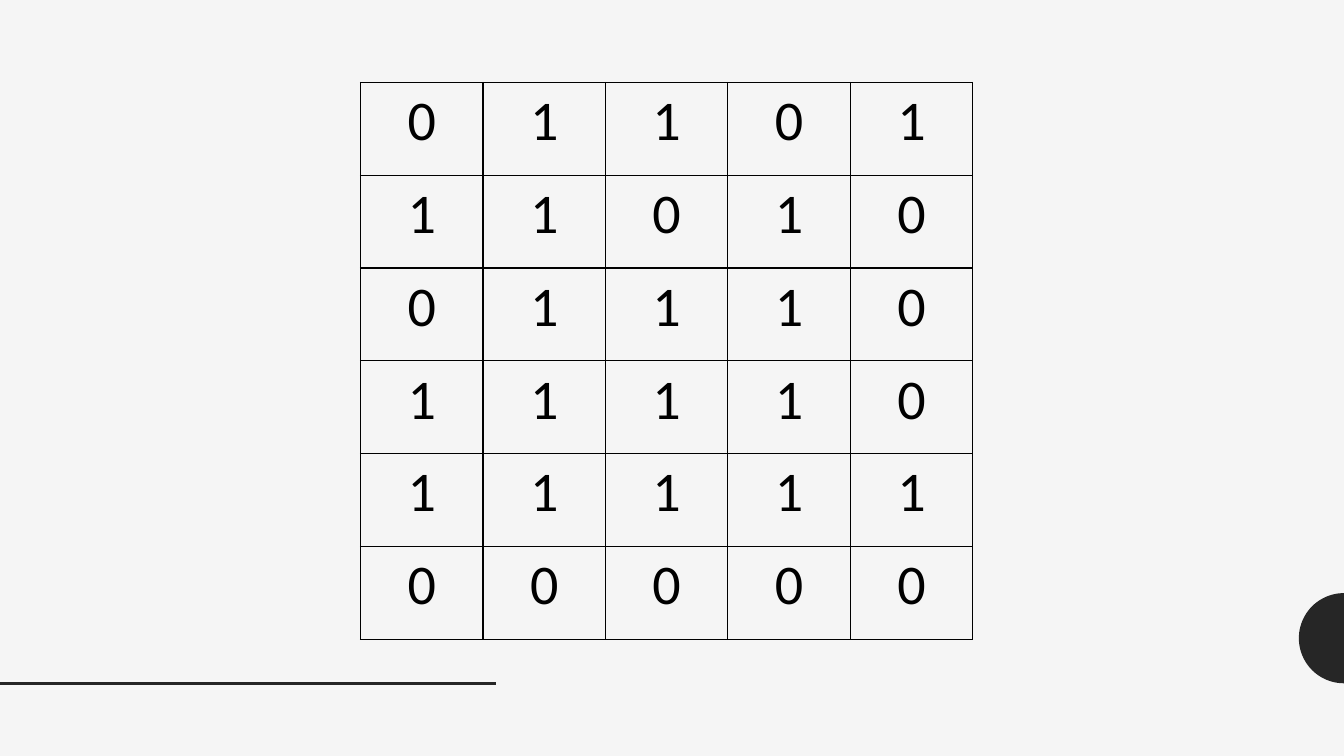
"""Build a slide with a binary matrix, a footer rule and an edge half disc."""
from math import cos, pi, sin

from lxml import etree
from pptx import Presentation
from pptx.dml.color import RGBColor
from pptx.enum.shapes import MSO_CONNECTOR
from pptx.enum.text import PP_ALIGN
from pptx.oxml.ns import qn
from pptx.util import Pt

STRAIGHT = MSO_CONNECTOR.STRAIGHT
CENTER = PP_ALIGN.CENTER

MATRIX = ["01101", "11010", "01110", "11110", "11111", "00000"]
COLORS = {"background": "F5F5F5", "accent": "262626", "ink": "000000"}
DIGIT_FORMAT = {"name": "Calibri", "size": Pt(40)}
SLIDE_W, SLIDE_H = 960, 540
MATRIX_LEFT, MATRIX_TOP = 257.5, 58.9
COLUMN_W, ROW_H = 87.5, 66.3
GRID_WIDTH = 1
RULE_Y, RULE_END, RULE_WIDTH = 488.2, 354.3, 2
DISC_Y, DISC_RADIUS, DISC_STEPS = 455.9, 32.2, 48


def color(key):
    return RGBColor.from_string(COLORS[key])


def add_borders(cell):
    properties = cell._tc.get_or_add_tcPr()
    for position, side in enumerate(("a:lnL", "a:lnR", "a:lnT", "a:lnB")):
        border = etree.Element(qn(side), w=str(Pt(GRID_WIDTH)))
        fill = etree.SubElement(border, qn("a:solidFill"))
        etree.SubElement(fill, qn("a:srgbClr"), val=COLORS["ink"])
        properties.insert(position, border)


presentation = Presentation()
presentation.slide_width, presentation.slide_height = Pt(SLIDE_W), Pt(SLIDE_H)
slide = presentation.slides.add_slide(presentation.slide_layouts[6])
slide.background.fill.solid()
slide.background.fill.fore_color.rgb = color("background")

angles = [pi / 2 + pi * step / DISC_STEPS for step in range(DISC_STEPS + 1)]
arc = [(Pt(SLIDE_W + DISC_RADIUS * cos(angle)), Pt(DISC_Y + DISC_RADIUS * sin(angle)))
       for angle in angles]
outline = slide.shapes.build_freeform(*arc[0])
outline.add_line_segments(arc[1:], close=True)
half_disc = outline.convert_to_shape()
half_disc.shadow.inherit = False
half_disc.fill.solid()
half_disc.fill.fore_color.rgb = color("accent")
half_disc.line.fill.background()

rule = slide.shapes.add_connector(STRAIGHT, 0, Pt(RULE_Y), Pt(RULE_END), Pt(RULE_Y))
rule.line.color.rgb = color("accent")
rule.line.width = Pt(RULE_WIDTH)
etree.SubElement(rule._element.spPr, qn("a:effectLst"))

row_count, column_count = len(MATRIX), len(MATRIX[0])
matrix = slide.shapes.add_table(
    row_count, column_count, Pt(MATRIX_LEFT), Pt(MATRIX_TOP),
    Pt(COLUMN_W * column_count), Pt(ROW_H * row_count)).table
matrix.first_row = matrix.horz_banding = False
for column in matrix.columns:
    column.width = Pt(COLUMN_W)
for row, digits in zip(matrix.rows, MATRIX):
    row.height = Pt(ROW_H)
    for cell, digit in zip(row.cells, digits):
        cell.text = digit
        cell.fill.background()
        add_borders(cell)
        paragraph = cell.text_frame.paragraphs[0]
        paragraph.alignment = CENTER
        font = paragraph.runs[0].font
        font.color.rgb = color("ink")
        for attribute, value in DIGIT_FORMAT.items():
            setattr(font, attribute, value)

presentation.save("out.pptx")
